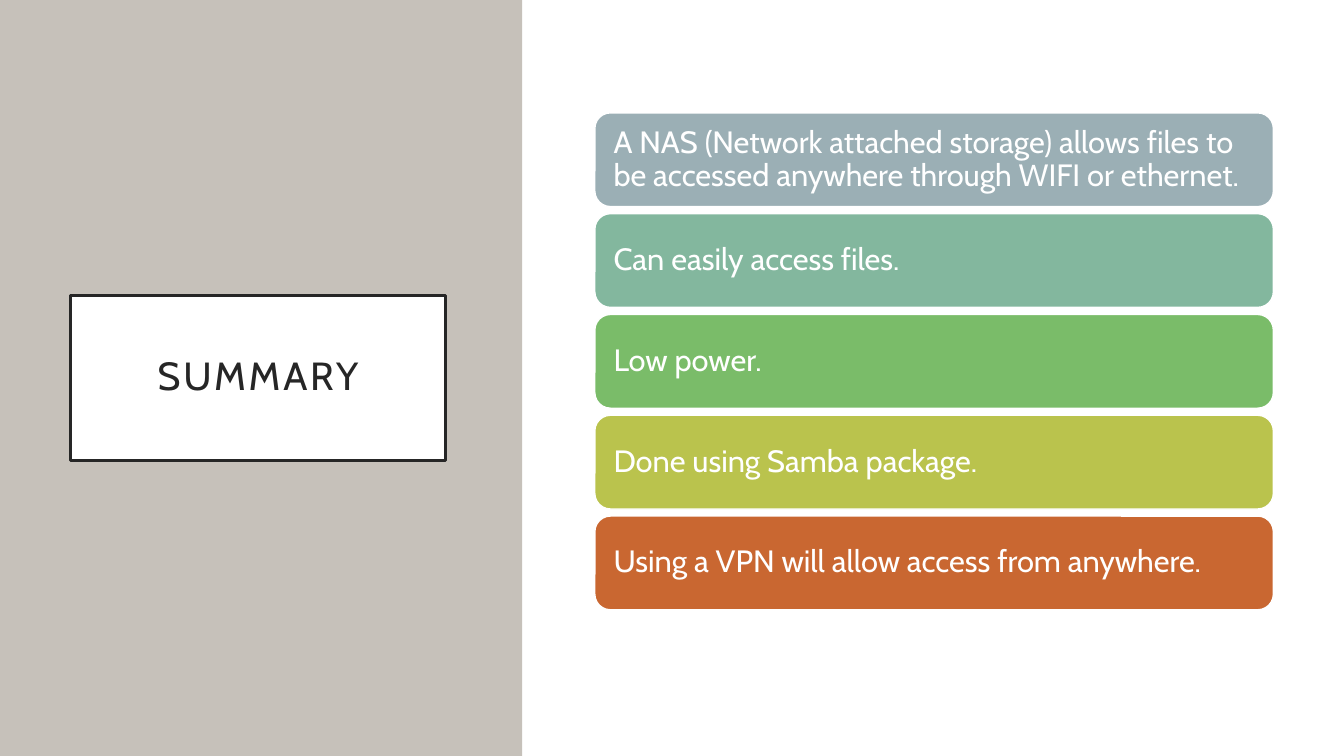
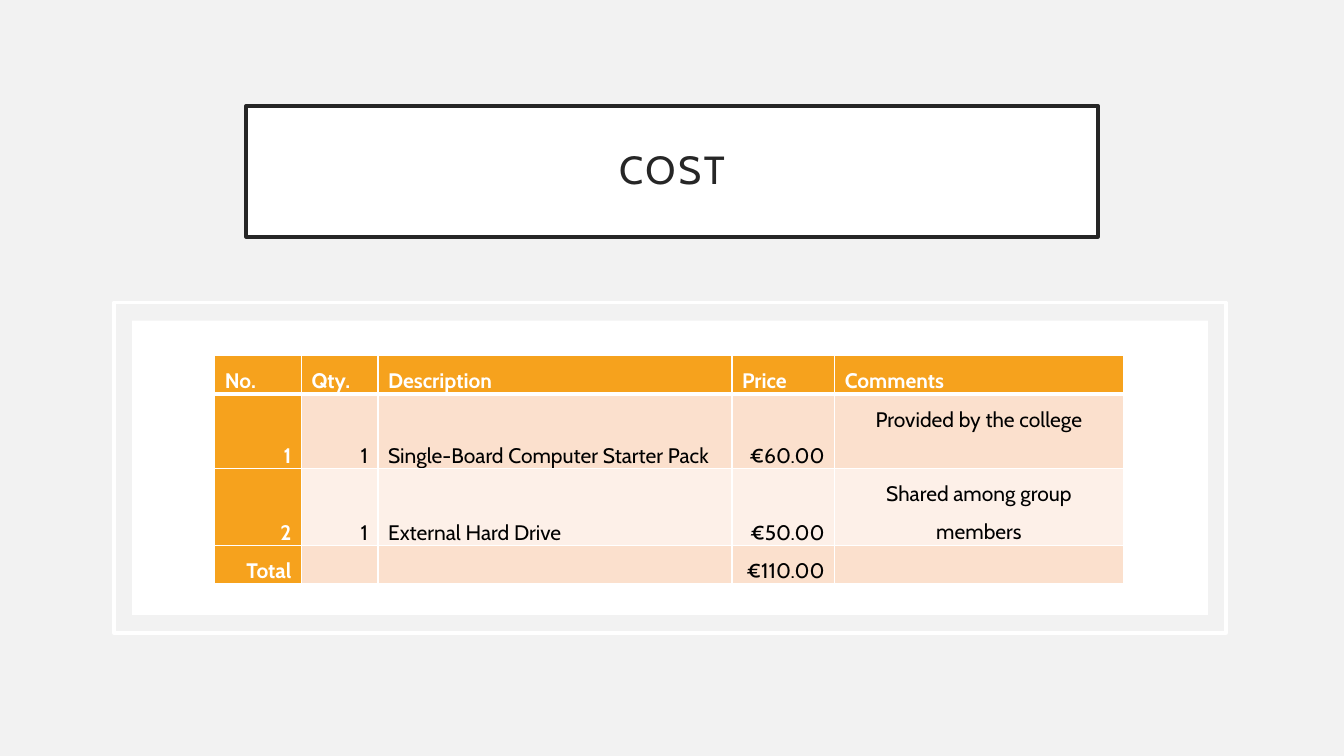
from lxml.etree import SubElement
from pptx import Presentation
from pptx.dml.color import RGBColor
from pptx.enum.shapes import MSO_SHAPE
from pptx.enum.text import MSO_ANCHOR, PP_ALIGN
from pptx.oxml.ns import qn
from pptx.util import Inches, Pt

FONT = "Cabin"
WHITE, INK, BLACK = "FFFFFF", "262626", "000000"
STONE, MIST, ORANGE = "C6C1BA", "F2F2F2", "F6A21D"
ROW_TINTS = ["FBE0CD", "FDF0E8"]
LEFT, CENTER, RIGHT = PP_ALIGN.LEFT, PP_ALIGN.CENTER, PP_ALIGN.RIGHT

WIDTH, HEIGHT = 13.33, 7.5
BAR_LEFT, BAR_TOP, BAR_WIDTH, BAR_HEIGHT, BAR_PITCH = 5.9, 1.12, 6.73, 0.93, 1.0
FRAME = (1.13, 3, 11.03, 3.28)
FRAME_GAP = 0.18

SUMMARY = [
    ("A NAS (Network attached storage) allows files to be accessed anywhere through WIFI or ethernet.", "9BAFB5"),
    ("Can easily access files.", "83B79E"),
    ("Low power.", "7ABC69"),
    ("Done using Samba package.", "BAC34D"),
    ("Using a VPN will allow access from anywhere.", "C96731"),
]
COSTS = [
    ("No.", "Qty.", "Description", "Price", "Comments"),
    ("1", "1", "Single-Board Computer Starter Pack", "€60.00", "Provided by the college"),
    ("2", "1", "External Hard Drive", "€50.00", "Shared among group members"),
    ("Total", "", "", "€110.00", ""),
]
COLUMN_WIDTHS = [0.86, 0.76, 3.51, 1.02, 2.86]
COLUMN_ALIGNS = [RIGHT, RIGHT, LEFT, RIGHT, CENTER]
ROW_HEIGHTS = [0.37, 0.74, 0.74, 0.37]


def color(code):
    return RGBColor.from_string(code)


def paint(shape, fill=None, line=None, weight=1):
    if fill:
        shape.fill.solid()
        shape.fill.fore_color.rgb = color(fill)
    else:
        shape.fill.background()
    if line:
        shape.line.color.rgb = color(line)
        shape.line.width = Pt(weight)
    else:
        shape.line.fill.background()


def add_box(page, box, kind=MSO_SHAPE.RECTANGLE, **look):
    shape = page.shapes.add_shape(kind, *map(Inches, box))
    shape.shadow.inherit = False
    paint(shape, **look)
    return shape


def set_margins(target, side, top):
    target.margin_left = target.margin_right = Inches(side)
    target.margin_top = target.margin_bottom = Inches(top)


def write(frame, text, size, ink, align=LEFT, spacing=0.9, bold=False):
    frame.text = text
    for para in frame.paragraphs:
        para.alignment = align
        para.line_spacing = spacing
        for span in para.runs:
            span.font.name = FONT
            span.font.size = Pt(size)
            span.font.bold = bold
            span.font.color.rgb = color(ink)


def add_page(deck, title_text, title_box, background):
    page = deck.slides.add_slide(deck.slide_layouts[5])
    page.background.fill.solid()
    page.background.fill.fore_color.rgb = color(background)
    title = page.shapes.title
    title.left, title.top, title.width, title.height = map(Inches, title_box)
    paint(title, WHITE, INK, 2.5)
    frame = title.text_frame
    frame.word_wrap = True
    frame.vertical_anchor = MSO_ANCHOR.MIDDLE
    set_margins(frame, 0.2, 0.2)
    write(frame, title_text, 28, INK, CENTER)
    frame.paragraphs[0].runs[0].font._element.set("spc", "200")
    return page


def add_border(cell, side, weight):
    line = SubElement(cell._tc.get_or_add_tcPr(), qn(f"a:ln{side}"), w=str(Pt(weight)))
    SubElement(SubElement(line, qn("a:solidFill")), qn("a:srgbClr"), val=WHITE)


def format_cell(cell, text, row, column):
    header = row == 0
    strong = header or column == 0
    for side in "LRTB":
        thick = (row, side) in [(0, "B"), (1, "T")]
        add_border(cell, side, 3 if thick else 1)
    cell.fill.solid()
    cell.fill.fore_color.rgb = color(ORANGE if strong else ROW_TINTS[(row - 1) % 2])
    set_margins(cell, 0.1, 0)
    comment = column == len(COLUMN_WIDTHS) - 1
    cell.vertical_anchor = MSO_ANCHOR.TOP if comment else MSO_ANCHOR.BOTTOM
    align = LEFT if header else COLUMN_ALIGNS[column]
    if text:
        write(cell.text_frame, text, 15, WHITE if strong else BLACK, align, 1.5, strong)


def build_summary(deck):
    page = add_page(deck, "SUMMARY", (0.7, 2.93, 3.72, 1.64), WHITE)
    panel = add_box(page, (0, 0, 5.18, HEIGHT), fill=STONE)
    page.shapes.title.element.addprevious(panel.element)
    for index, (text, fill) in enumerate(SUMMARY):
        box = (BAR_LEFT, BAR_TOP + index * BAR_PITCH, BAR_WIDTH, BAR_HEIGHT)
        bar = add_box(page, box, MSO_SHAPE.ROUNDED_RECTANGLE, fill=fill, line=WHITE)
        frame = bar.text_frame
        frame.word_wrap = True
        frame.vertical_anchor = MSO_ANCHOR.MIDDLE
        set_margins(frame, 0.14, 0.09)
        write(frame, text, 22, WHITE)


def build_cost(deck):
    page = add_page(deck, "COST", (2.44, 1.05, 8.45, 1.3), MIST)
    left, top, width, height = FRAME
    add_box(page, FRAME, line=WHITE, weight=2.5)
    inner = (left + FRAME_GAP, top + FRAME_GAP, width - 2 * FRAME_GAP, height - 2 * FRAME_GAP)
    add_box(page, inner, fill=WHITE)
    size = (sum(COLUMN_WIDTHS), sum(ROW_HEIGHTS))
    table = page.shapes.add_table(
        len(COSTS), len(COLUMN_WIDTHS), *map(Inches, (2.13, 3.53, *size))
    ).table
    for column, column_width in zip(table.columns, COLUMN_WIDTHS):
        column.width = Inches(column_width)
    for row, row_height in zip(table.rows, ROW_HEIGHTS):
        row.height = Inches(row_height)
    for row, texts in enumerate(COSTS):
        for column, text in enumerate(texts):
            format_cell(table.cell(row, column), text, row, column)


def main():
    deck = Presentation()
    deck.slide_width, deck.slide_height = Inches(WIDTH), Inches(HEIGHT)
    build_summary(deck)
    build_cost(deck)
    deck.save("out.pptx")


if __name__ == "__main__":
    main()
